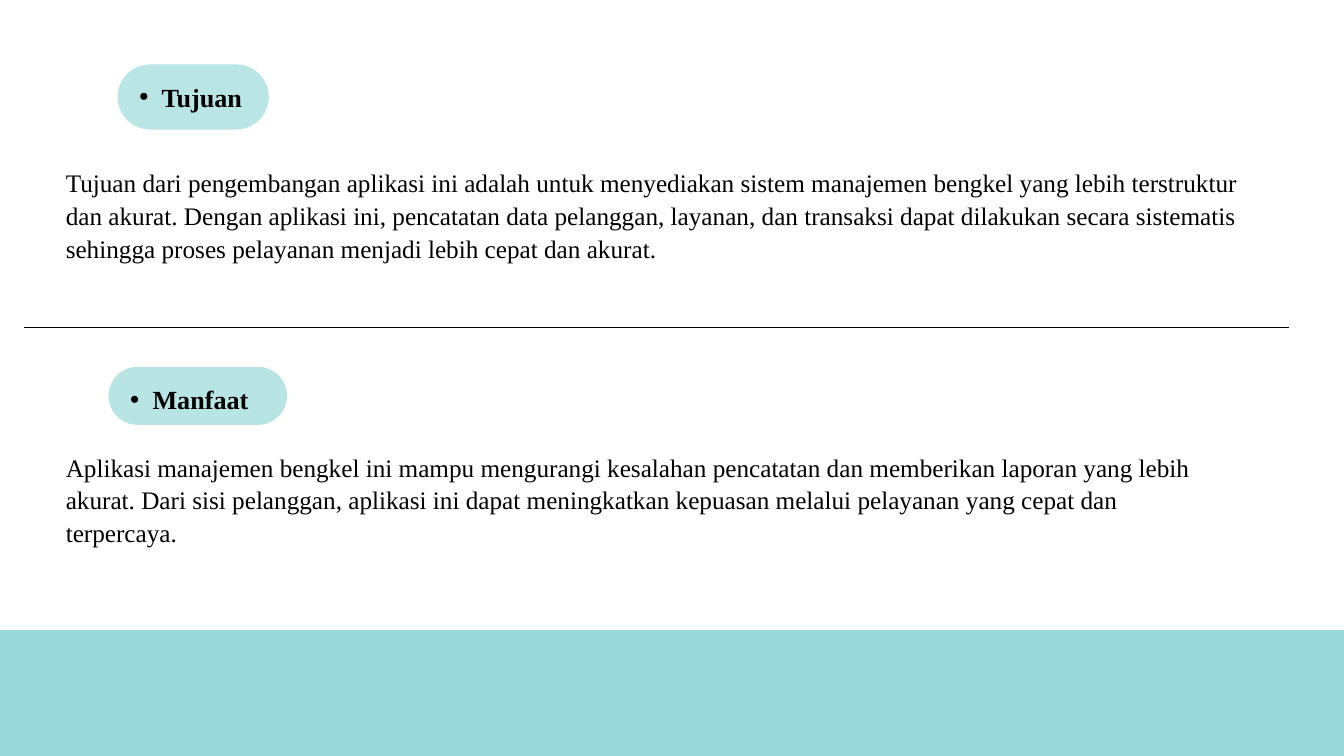
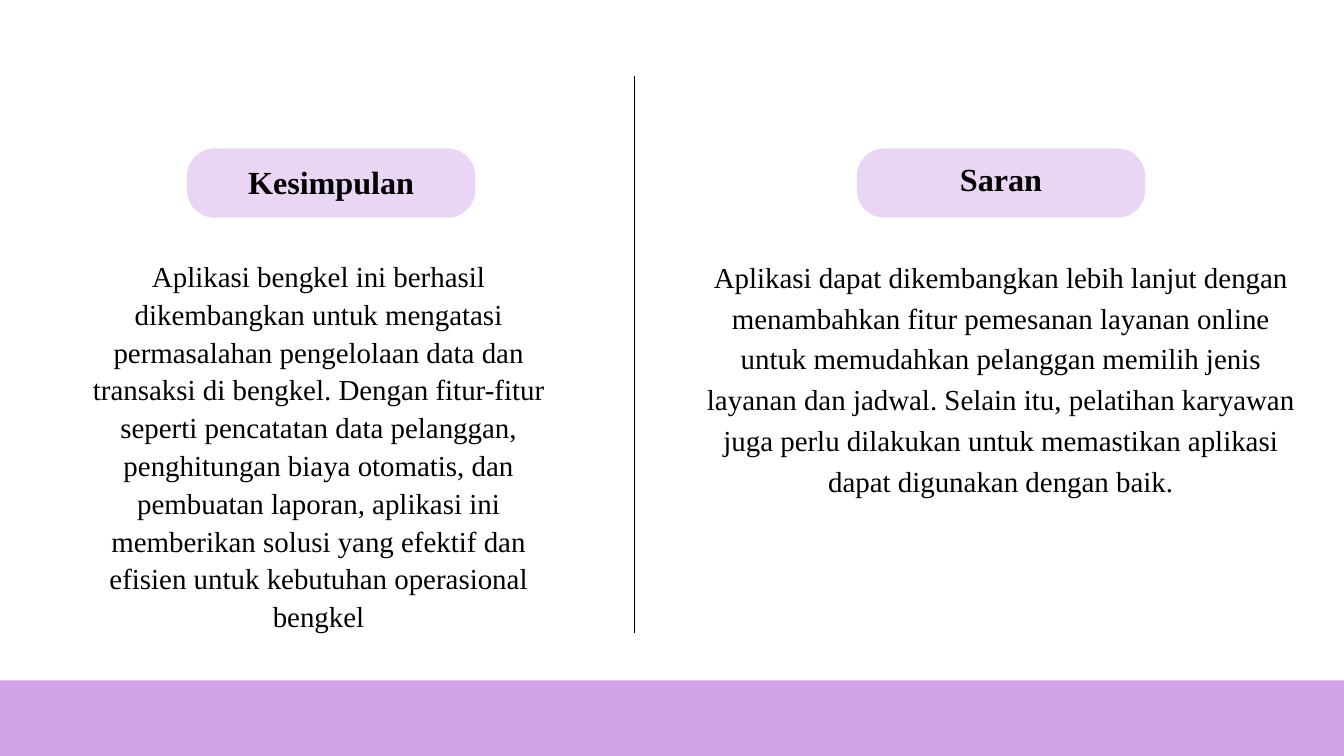
from lxml.etree import SubElement
from pptx import Presentation
from pptx.dml.color import RGBColor
from pptx.enum.shapes import MSO_CONNECTOR as Connector, MSO_SHAPE as Shape
from pptx.enum.text import MSO_AUTO_SIZE as AutoSize, PP_ALIGN as Align
from pptx.oxml.ns import qn
from pptx.util import Pt

EMU_PER_PX = 9525
SLIDE_W, SLIDE_H = 1920, 1080
FONT = "Times New Roman"
COLORS = {"ink": "000000", "paper": "FFFFFF", "teal": "99D9D9", "lilac": "D1A3E8"}


def px(*lengths):
    return [length * EMU_PER_PX for length in lengths]


def color(name):
    return RGBColor.from_string(COLORS[name])


def add_slide(deck):
    slide = deck.slides.add_slide(deck.slide_layouts[6])
    slide.background.fill.solid()
    slide.background.fill.fore_color.rgb = color("paper")
    return slide


def add_block(slide, kind, box, fill, opacity=100):
    block = slide.shapes.add_shape(kind, *px(*box))
    block.shadow.inherit = False
    block.line.fill.background()
    block.fill.solid()
    block.fill.fore_color.rgb = color(fill)
    if opacity < 100:
        tint = block.fill._xPr.find(qn("a:solidFill"))[0]
        SubElement(tint, qn("a:alpha"), val=str(opacity * 1000))
    return block


def add_footer(slide, top, fill):
    add_block(slide, Shape.RECTANGLE, (0, top, SLIDE_W, SLIDE_H - top), fill)


def add_pill(slide, box, fill, opacity, roundness):
    pill = add_block(slide, Shape.ROUNDED_RECTANGLE, box, fill, opacity)
    pill.adjustments[0] = roundness


def add_divider(slide, start, end):
    divider = slide.shapes.add_connector(Connector.STRAIGHT, *px(*start, *end))
    divider.line.color.rgb = color("ink")
    divider.line.width = Pt(0.75)
    SubElement(divider._element.spPr, qn("a:effectLst"))


def add_text(slide, text, box, size, leading, bold=False, align=Align.LEFT, bullet=False):
    frame = slide.shapes.add_textbox(*px(*box)).text_frame
    frame.margin_left = frame.margin_top = frame.margin_right = frame.margin_bottom = 0
    frame.word_wrap = True
    frame.auto_size = AutoSize.SHAPE_TO_FIT_TEXT
    paragraph = frame.paragraphs[0]
    paragraph.alignment = align
    paragraph.line_spacing = Pt(leading)
    if bullet:
        paragraph.level = 1
        properties = paragraph._p.get_or_add_pPr()
        margin, hanging = px(63, 32)
        properties.set("marL", str(margin))
        properties.set("indent", str(-hanging))
        SubElement(properties, qn("a:buFont"), typeface="Arial")
        SubElement(properties, qn("a:buChar"), char="•")
    run = paragraph.add_run()
    run.text = text
    run.font.name = FONT
    run.font.size = Pt(size)
    run.font.bold = bold
    run.font.color.rgb = color("ink")


def add_section(slide, heading, pill, opacity, body, body_box):
    left, top, width, _ = pill
    add_pill(slide, pill, "teal", opacity, 0.5)
    add_text(slide, heading, (left, top + 24, width, 43), 28, 33.6, bold=True, bullet=True)
    add_text(slide, body, body_box, 27, 35.1)


def add_column(slide, heading, pill_left, heading_box, body, body_box, leading):
    add_pill(slide, (pill_left, 212, 412, 99), "lilac", 44, 0.4)
    add_text(slide, heading, heading_box, 34.5, 45, bold=True, align=Align.CENTER)
    add_text(slide, body, body_box, 31, leading, align=Align.CENTER)


def build_goals(deck):
    slide = add_slide(deck)
    add_footer(slide, 900, "teal")
    add_section(
        slide, "Tujuan", (168, 92, 216, 93), 68,
        "Tujuan dari pengembangan aplikasi ini adalah untuk menyediakan sistem manajemen "
        "bengkel yang lebih terstruktur dan akurat. Dengan aplikasi ini, pencatatan data "
        "pelanggan, layanan, dan transaksi dapat dilakukan secara sistematis sehingga "
        "proses pelayanan menjadi lebih cepat dan akurat.",
        (94, 236, 1732, 142))
    add_divider(slide, (34, 468), (1841, 468))
    add_section(
        slide, "Manfaat", (155, 524, 255, 83), 69,
        "Aplikasi manajemen bengkel ini mampu mengurangi kesalahan pencatatan dan "
        "memberikan laporan yang lebih akurat. Dari sisi pelanggan, aplikasi ini dapat "
        "meningkatkan kepuasan melalui pelayanan yang cepat dan terpercaya.",
        (94, 642, 1654, 142))


def build_closing(deck):
    slide = add_slide(deck)
    add_footer(slide, 972, "lilac")
    add_column(
        slide, "Kesimpulan", 267, (126, 227, 694, 60),
        "Aplikasi bengkel ini berhasil dikembangkan untuk mengatasi permasalahan "
        "pengelolaan data dan transaksi di bengkel. Dengan fitur-fitur seperti pencatatan "
        "data pelanggan, penghitungan biaya otomatis, dan pembuatan laporan, aplikasi ini "
        "memberikan solusi yang efektif dan efisien untuk kebutuhan operasional bengkel",
        (108, 365, 694, 548), 40.5)
    add_column(
        slide, "Saran", 1224, (1293, 223, 274, 60),
        "Aplikasi dapat dikembangkan lebih lanjut dengan menambahkan fitur pemesanan "
        "layanan online untuk memudahkan pelanggan memilih jenis layanan dan jadwal. "
        "Selain itu, pelatihan karyawan juga perlu dilakukan untuk memastikan aplikasi "
        "dapat digunakan dengan baik.",
        (1009, 362, 841, 350), 43.7)
    add_divider(slide, (906, 108), (906, 904))


def main():
    deck = Presentation()
    deck.slide_width, deck.slide_height = px(SLIDE_W, SLIDE_H)
    build_goals(deck)
    build_closing(deck)
    deck.save("out.pptx")


if __name__ == "__main__":
    main()
